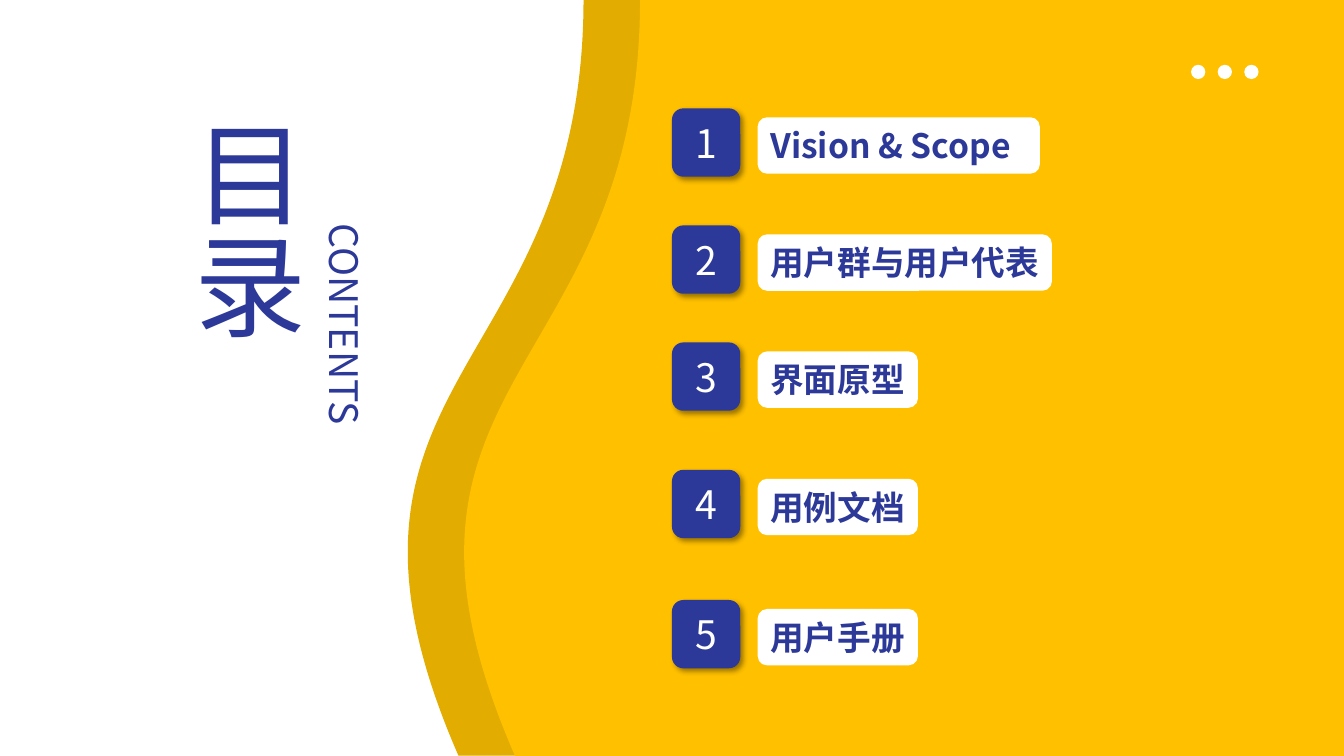
import pptx
import pptx.util
import pptx.dml.color
import pptx.enum.shapes
import pptx.enum.text
import pptx.oxml
import pptx.oxml.ns
from lxml import etree

FONT = "Noto Sans CJK SC"
NAVY, AMBER, OCHRE, WHITE = "2C3998", "FFC000", "E2AC00", "FFFFFF"
WIDTH, HEIGHT = 960, 540

TITLE = ("目录", 118.8, 77, 108.7, 193.7, 80, 7.2, 3.6)
SUBTITLE = ("CONTENTS", 218.8, 152.6, 48.2, 182.9, 28, 3.6, 7.2)
ITEMS = [
    ("Vision & Scope", 77.4, 201.6),
    ("用户群与用户代表", 161, 210.2),
    ("界面原型", 244.6, 114.5),
    ("用例文档", 335.6, 114.5),
    ("用户手册", 428.6, 114.5),
]
BADGE_LEFT, BADGE_SIZE = 480, 48.8
LABEL_LEFT, LABEL_DROP, LABEL_HEIGHT = 541.2, 6.4, 40.3
DOT_LEFT, DOT_TOP, DOT_SIZE, DOT_PITCH, DOT_COUNT = 850.8, 46.3, 10.2, 19, 3
BACK_WAVE = (351.4, -69.1, 540, 677.5)
WAVE_START, WAVE_END, WAVE_BULGE = (457.2, 0), (367.92, 540), (331.5, 270)
WAVE_CONTROLS = [(457.2, 270), (249.84, 270)]

Pt = pptx.util.Pt
qn = pptx.oxml.ns.qn
ALIGN = pptx.enum.text.PP_ALIGN
ANCHOR = pptx.enum.text.MSO_ANCHOR
SHAPE = pptx.enum.shapes.MSO_SHAPE


def color(value):
    return pptx.dml.color.RGBColor.from_string(value)


def paint(shape, fill):
    shape.shadow.inherit = False
    shape.fill.solid()
    shape.fill.fore_color.rgb = color(fill)
    shape.line.fill.background()
    return shape


def add_shape(kind, left, top, width, height, fill):
    return paint(slide.shapes.add_shape(kind, Pt(left), Pt(top), Pt(width), Pt(height)), fill)


def write(shape, text, size, fill=NAVY, bold=False, align=ALIGN.LEFT,
          anchor=ANCHOR.TOP, vertical=False, top=3.6, right=7.2):
    frame = shape.text_frame
    frame.word_wrap = True
    frame.auto_size = pptx.enum.text.MSO_AUTO_SIZE.NONE
    frame.vertical_anchor = anchor
    frame.margin_top, frame.margin_right = Pt(top), Pt(right)
    if vertical:
        shape.element.txBody.bodyPr.set("vert", "eaVert")
    paragraph = frame.paragraphs[0]
    paragraph.alignment = align
    run = paragraph.add_run()
    run.text = text
    run.font.size = Pt(size)
    run.font.bold = bold
    run.font.name = FONT
    run.font.color.rgb = color(fill)
    etree.SubElement(run.font._element, qn("a:ea")).set("typeface", FONT)


def add_shadow(shape):
    effects = shape.element.spPr.find(qn("a:effectLst"))
    effects.append(pptx.oxml.parse_xml(
        f'<a:outerShdw {pptx.oxml.ns.nsdecls("a")} blurRad="50800" dist="38100" '
        'dir="2700000" algn="tl" rotWithShape="0"><a:srgbClr val="000000">'
        '<a:alpha val="40000"/></a:srgbClr></a:outerShdw>'))


def add_back_wave():
    wave = add_shape(SHAPE.FLOWCHART_DOCUMENT, *BACK_WAVE, OCHRE)
    wave.rotation = 90
    wave.element.spPr.find(qn("a:xfrm")).set("flipH", "1")


def add_front_wave():
    corners = [WAVE_START, WAVE_BULGE, WAVE_END, (WIDTH, HEIGHT)]
    builder = slide.shapes.build_freeform(Pt(WIDTH), 0)
    builder.add_line_segments([(Pt(x), Pt(y)) for x, y in corners], close=True)
    wave = paint(builder.convert_to_shape(), AMBER)
    bulge, end = list(wave.element.iter(qn("a:lnTo")))[1:3]
    curve = etree.Element(qn("a:cubicBezTo"))
    for x, y in WAVE_CONTROLS + [WAVE_END]:
        point = etree.SubElement(curve, qn("a:pt"))
        point.set("x", str(Pt(x) - wave.left))
        point.set("y", str(Pt(y) - wave.top))
    bulge.getparent().replace(bulge, curve)
    end.getparent().remove(end)


presentation = pptx.Presentation()
presentation.slide_width, presentation.slide_height = Pt(WIDTH), Pt(HEIGHT)
slide = presentation.slides.add_slide(presentation.slide_layouts[5])

add_back_wave()
add_front_wave()

for index in range(DOT_COUNT):
    add_shape(SHAPE.OVAL, DOT_LEFT + index * DOT_PITCH, DOT_TOP, DOT_SIZE, DOT_SIZE, WHITE)

for number, (label, top, width) in enumerate(ITEMS, 1):
    badge = add_shape(SHAPE.ROUNDED_RECTANGLE, BADGE_LEFT, top, BADGE_SIZE, BADGE_SIZE, NAVY)
    add_shadow(badge)
    write(badge, str(number), 28, fill=WHITE, align=ALIGN.CENTER, anchor=ANCHOR.MIDDLE)
    plate = add_shape(SHAPE.ROUNDED_RECTANGLE, LABEL_LEFT, top + LABEL_DROP,
                      width, LABEL_HEIGHT, WHITE)
    write(plate, label, 24, bold=True, right=0)

headings = [(slide.shapes.title, TITLE), (slide.shapes.add_textbox(0, 0, 0, 0), SUBTITLE)]
for shape, (text, left, top, width, height, size, inset_top, inset_right) in headings:
    shape.left, shape.top, shape.width, shape.height = Pt(left), Pt(top), Pt(width), Pt(height)
    write(shape, text, size, align=ALIGN.JUSTIFY, vertical=True,
          top=inset_top, right=inset_right)

presentation.save("out.pptx")
